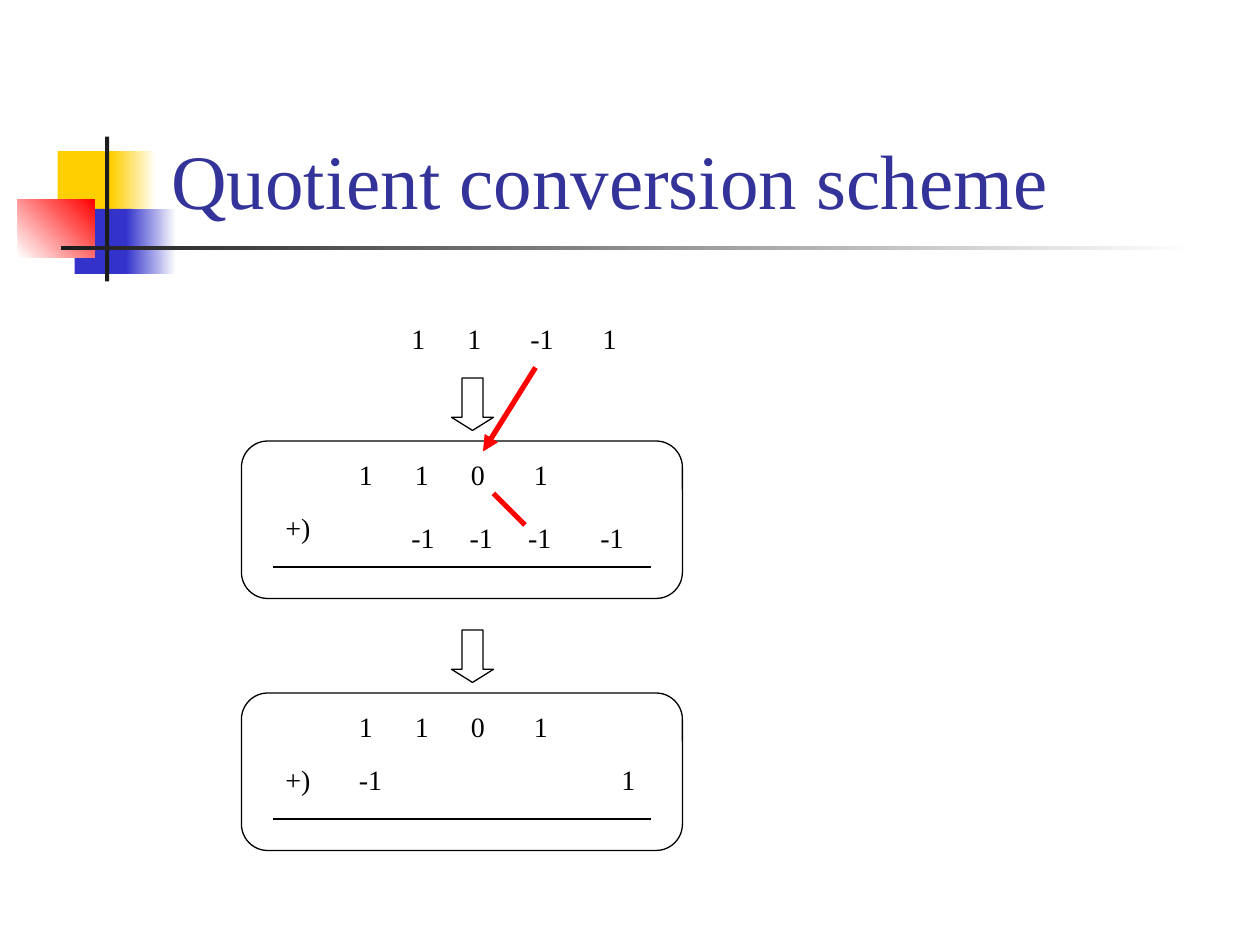
from lxml import etree
from pptx import Presentation
from pptx import util as u
from pptx.dml.color import RGBColor
from pptx.enum import shapes, text
from pptx.oxml import ns

THEME = dict(gold="FFCF01", blue="3333CC", red="FF0000", dark="1C1C1C",
             white="FFFFFF", ink="000000", head="333399",
             font="Times New Roman", title=44, body=16, thin=0.75, bold=3)
CELL = u.Inches(1) // 12  # the slide is a grid of 120 columns by 90 rows
KIND = shapes.MSO_SHAPE


def grid(*cells):
    return [round(n * CELL) for n in cells]


def style(para, size, color):
    look = dict(name=THEME["font"], size=u.Pt(THEME[size]))
    for key, value in look.items():
        setattr(para.font, key, value)
    para.font.color.rgb = RGBColor.from_string(THEME[color])


prs = Presentation()
prs.slide_width, prs.slide_height = grid(120, 90)
slide = prs.slides.add_slide(prs.slide_layouts[5])

# Ornament: column, row, width, height, first colour, last colour, angle
for *box, start, end, angle in [
    (5.5, 14.4, 5.8, 6.2, "gold", None, 0),
    (10.6, 14.4, 4.3, 6.2, "gold", "white", 0),
    (7.1, 19.9, 5.5, 6.2, "blue", None, 0),
    (12, 19.9, 4.8, 6.2, "blue", "white", 0),
    (1.7, 19, 7.3, 5.5, "white", "red", 45),
    (10, 13, 0.4, 13.8, "dark", None, 0),
    (5.8, 23.4, 108, 0.4, "dark", "white", 0),
]:
    block = slide.shapes.add_shape(KIND.RECTANGLE, *grid(*box))
    block.shadow.inherit = False
    block.line.fill.background()
    if end:
        block.fill.gradient()
        block.fill.gradient_angle = angle
        for stop, tint in zip(block.fill.gradient_stops, (start, end)):
            stop.color.rgb = RGBColor.from_string(THEME[tint])
    else:
        block.fill.solid()
        block.fill.fore_color.rgb = RGBColor.from_string(THEME[start])

# Title, in front of the ornament
title = slide.shapes.title
title.element.getparent().append(title.element)
title.left, title.top, title.width, title.height = grid(15.1, 2.8, 102.2, 19.2)
frame = title.text_frame
frame.text = "Quotient conversion scheme"
for key, value in dict(vertical_anchor=text.MSO_ANCHOR.BOTTOM, word_wrap=True,
                       auto_size=text.MSO_AUTO_SIZE.NONE).items():
    setattr(frame, key, value)
frame.paragraphs[0].alignment = text.PP_ALIGN.LEFT
style(frame.paragraphs[0], "title", "head")

first, second = (slide.shapes.add_group_shape() for _ in range(2))

# Digit rows: parent, column, row, width, digits, tab stops in points
for home, col, row, wide, digits, tabs in [
    (slide, 38, 30, 22, "1 1 -1 1", (32, 68, 109.3)),
    (first, 33, 43, 20.4, "1 1 0 1", (32, 64, 100)),
    (first, 38, 49, 22.7, "-1 -1 -1 -1", (33.3, 66.7, 108)),
    (first, 26, 48, 4.8, "+)", ()),
    (second, 33, 67, 20.4, "1 1 0 1", (32, 64, 100)),
    (second, 26, 72, 4.8, "+)", ()),
    (second, 33, 72, 4.7, "-1", ()),
    (second, 58, 72, 3.7, "1", ()),
]:
    box = home.shapes.add_textbox(*grid(col, row, wide, 4.4))
    frame = box.text_frame
    frame.word_wrap = True
    frame.margin_right = 0
    para = frame.paragraphs[0]
    para.text = "\t".join(digits.split())
    if tabs:
        stops = etree.SubElement(para._p.get_or_add_pPr(), ns.qn("a:tabLst"))
        for tab in tabs:
            etree.SubElement(stops, ns.qn("a:tab"),
                             pos=str(u.Pt(tab)), algn="l")
    style(para, "body", "ink")

# Panels and the block arrows above them
for home, row in (first, 42), (second, 66):
    for place, kind, cells, bends in [
        (home, KIND.ROUNDED_RECTANGLE, (23, row, 42, 15), (0.167,)),
        (slide, KIND.DOWN_ARROW, (43, row - 6, 4, 5), (0.5, 0.312)),
    ]:
        shape = place.shapes.add_shape(kind, *grid(*cells))
        for i, bend in enumerate(bends):
            shape.adjustments[i] = bend
        shape.shadow.inherit = False
        shape.fill.background()
        shape.line.color.rgb = RGBColor.from_string(THEME["ink"])
        shape.line.width = u.Pt(THEME["thin"])

# Sum rules and the red carry marks
for home, ends, color, width, tip in [
    (first, (26, 54, 62, 54), "ink", "thin", False),
    (second, (26, 78, 62, 78), "ink", "thin", False),
    (slide, (51, 35, 46, 43), "red", "bold", True),
    (slide, (47, 47, 50, 50), "red", "bold", False),
]:
    rule = home.shapes.add_connector(shapes.MSO_CONNECTOR.STRAIGHT, *grid(*ends))
    rule.line.color.rgb = RGBColor.from_string(THEME[color])
    rule.line.width = u.Pt(THEME[width])
    if tip:
        etree.SubElement(rule.line._get_or_add_ln(), ns.qn("a:tailEnd"),
                         type="triangle")
    etree.SubElement(rule._element.spPr, ns.qn("a:effectLst"))

prs.save("out.pptx")
